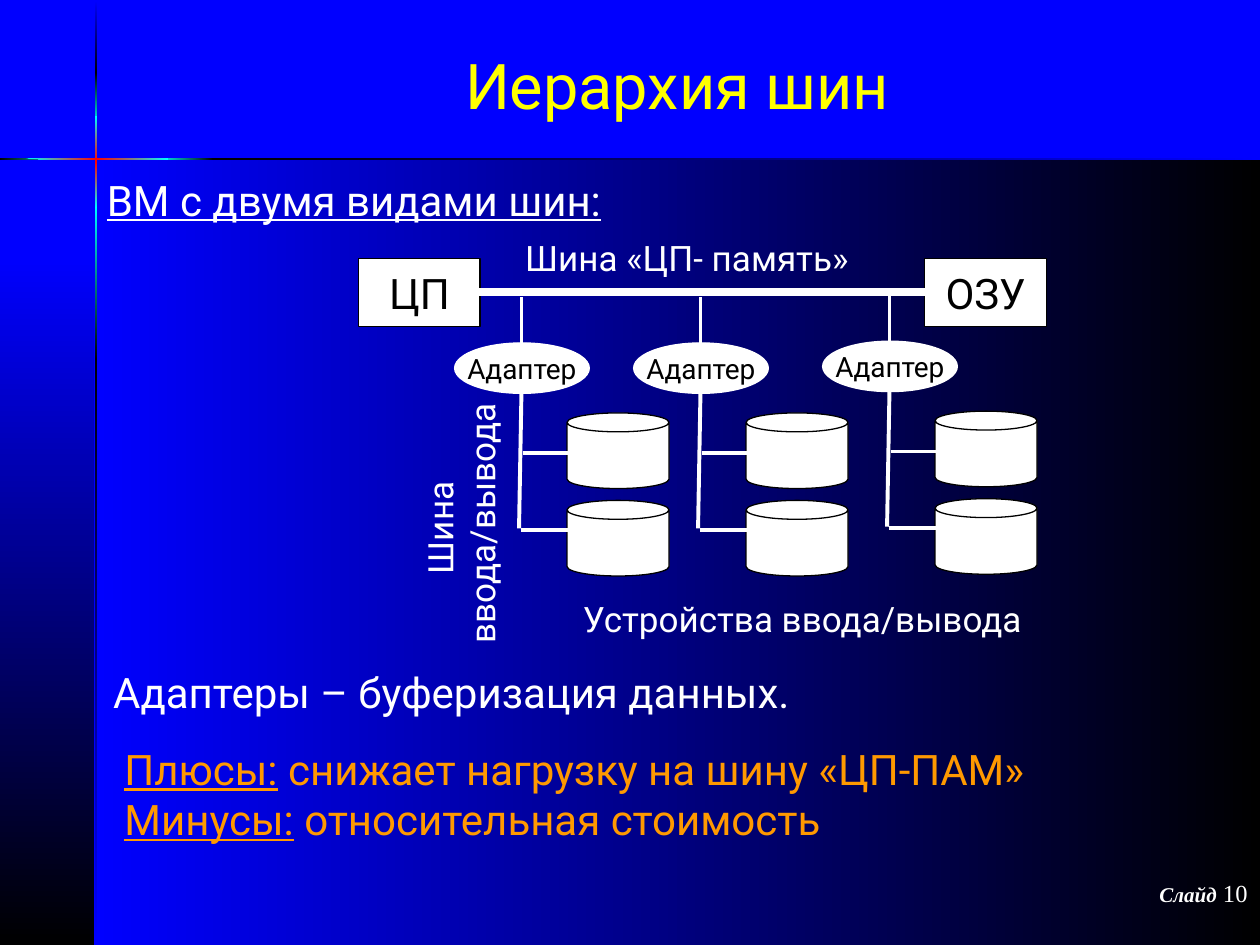
from copy import deepcopy
from pptx import Presentation
from pptx.dml.color import RGBColor as RGB
from pptx.enum.shapes import MSO_CONNECTOR as Conn, MSO_SHAPE as Form
from pptx.enum.text import MSO_ANCHOR as Anchor, PP_ALIGN as Align
from pptx.oxml.ns import qn
from pptx.util import Pt

hues = {"blue": "0000FF", "black": "000000", "cyan": "00FFFF", "red": "FF0000",
        "white": "FFFFFF", "gold": "FFFF00", "amber": "FF9900"}
tint = {name: RGB.from_string(code) for name, code in hues.items()}


def write(shape, rows, size, hue, align=Align.LEFT, wrap=False, anchor=Anchor.TOP):
    frame = shape.text_frame
    frame.word_wrap = wrap
    frame.vertical_anchor = anchor
    for num, row in enumerate(rows):
        para = frame.add_paragraph() if num else frame.paragraphs[0]
        para.alignment = align
        for text, under in row:
            run = para.add_run()
            run.text = text
            font = run.font
            font.name, font.size, font.underline = "Roboto", Pt(size), under
            font.color.rgb = tint[hue]


def link(x1, y1, x2, y2, width):
    wire = shapes.add_connector(Conn.STRAIGHT, Pt(x1), Pt(y1), Pt(x2), Pt(y2))
    wire.line.color.rgb = tint["white"]
    wire.line.width = Pt(width)
    wire._element.spPr.add_effectLst() if hasattr(wire._element.spPr, "add_effectLst") else \
        wire._element.spPr.append(wire._element.spPr.makeelement(qn("a:effectLst"), {}))


deck = Presentation()
deck.slide_width, deck.slide_height = Pt(720), Pt(540)
slide = deck.slides.add_slide(deck.slide_layouts[6])
shapes = slide.shapes
slide.background.fill.solid()
slide.background.fill.fore_color.rgb = tint["blue"]

bands = [
    (54, 90, 666, 450, 0, "blue black"),
    (0, 145.5, 54, 394.5, 270, "blue black"),
    (54, 0.7, 1.4, 41, 270, "blue black"),
    (54, 203, 1.4, 337, 270, "black blue"),
    (54, 117.4, 1.4, 88, 270, "cyan black"),
    (54, 41.7, 1.4, 31.7, 270, "black cyan"),
    (54, 66.2, 1.4, 52.6, 270, "cyan red cyan"),
    (0, 90, 44, 1.4, 0, "black cyan"),
    (120.2, 90, 599.8, 1.4, 0, "black blue"),
    (90, 90, 31.7, 1.4, 0, "cyan black"),
    (15, 90, 81, 1.4, 0, "cyan red cyan"),
]
for left, top, wide, high, turn, blend in bands:
    if left == 15:
        pen = shapes.build_freeform(Pt(15), Pt(90.7))
        pen.add_line_segments([(Pt(x), Pt(y)) for x, y in
                               [(43, 91.4), (96, 91.4), (96, 90), (43, 90)]])
        band = pen.convert_to_shape()
    else:
        band = shapes.add_shape(Form.RECTANGLE, Pt(left), Pt(top), Pt(wide), Pt(high))
    band.shadow.inherit = False
    band.line.fill.background()
    band.fill.gradient()
    band.fill.gradient_angle = turn
    names = blend.split()
    stops = band._element.spPr.find(qn("a:gradFill")).find(qn("a:gsLst"))
    if len(names) == 3:
        stops.insert(1, deepcopy(stops[0]))
    for num, (stop, name) in enumerate(zip(band.fill.gradient_stops, names)):
        stop.position = num / (len(names) - 1)
        stop.color.rgb = tint[name]

page = shapes.add_textbox(Pt(570), Pt(498), Pt(150), Pt(36)).text_frame
page.word_wrap = True
para = page.paragraphs[0]
para.alignment = Align.RIGHT
for text, size, strong in [("Слайд", 12, True), (" 10", 14, False)]:
    run = para.add_run()
    run.text = text
    font = run.font
    font.name, font.size = "Times New Roman", Pt(size)
    font.bold = font.italic = strong
    font.color.rgb = tint["white"]

title = shapes.add_textbox(Pt(54), Pt(6), Pt(666), Pt(84))
write(title, [[("Иерархия шин", False)]], 36, "gold", Align.CENTER, True, Anchor.MIDDLE)
head = shapes.add_textbox(Pt(54), Pt(96), Pt(316), Pt(40))
write(head, [[("ВМ с двумя видами шин:", True)]], 24, "white", wrap=True)
head.text_frame.paragraphs[0].space_before = Pt(6)

nodes = [(Form.RECTANGLE, 205, 147.6, 69.4, 39, "black", "ЦП", 24),
         (Form.RECTANGLE, 528.5, 147.6, 69.4, 39, "black", "ОЗУ", 24)]
stems = [(298, 170), (400.3, 170), (508.3, 169)]
for x, y in stems:
    nodes += [(Form.CAN, x + 26, y + 66, 58.3, 43.2, "black", "", 16),
              (Form.CAN, x + 26, y + 116, 58.3, 43.2, "black", "", 16),
              (Form.OVAL, x - 38.2, y + 26, 77, 28.8, "white", "Адаптер", 16)]
for form, left, top, wide, high, edge, text, size in nodes:
    node = shapes.add_shape(form, Pt(left), Pt(top), Pt(wide), Pt(high))
    node.shadow.inherit = False
    node.fill.solid()
    node.fill.fore_color.rgb = tint["white"]
    node.line.color.rgb = tint[edge]
    node.line.width = Pt(0.75)
    if text:
        write(node, [[(text, False)]], size, "black", Align.CENTER, anchor=Anchor.MIDDLE)

link(535, 167, 264, 167, 4.5)
for x, y in stems:
    link(x, y, x, y + 28, 2.25)
    link(x, y + 54, x - 1.4, y + 132, 2.25)
    link(x + 0.7, y + 89, x + 28.8, y + 89, 2.25)
    link(x, y + 133, x + 28, y + 133, 2.25)

notes = [
    (326, 337.7, 269.3, 31.7, "Устройства ввода/вывода", 20),
    (293, 131.8, 210.2, 31.7, "Шина «ЦП- память»", 20),
    (57.6, 377.3, 414, 36, "Адаптеры – буферизация данных.", 24),
]
for left, top, wide, high, text, size in notes:
    note = shapes.add_textbox(Pt(left), Pt(top), Pt(wide), Pt(high))
    write(note, [[(text, False)]], size, "white")

side = shapes.add_textbox(Pt(186.5), Pt(271.4), Pt(153.4), Pt(55.4))
side.rotation = 270
write(side, [[("Шина ", False)], [("ввода/вывода", False)]], 20, "white", Align.CENTER)

sums = shapes.add_textbox(Pt(64), Pt(421.2), Pt(634.3), Pt(64.8))
write(sums, [[("Плюсы:", True), (" снижает нагрузку на шину «ЦП-ПАМ»", False)],
             [("Минусы:", True), (" относительная стоимость", False)]], 24, "amber", wrap=True)

deck.save("out.pptx")
